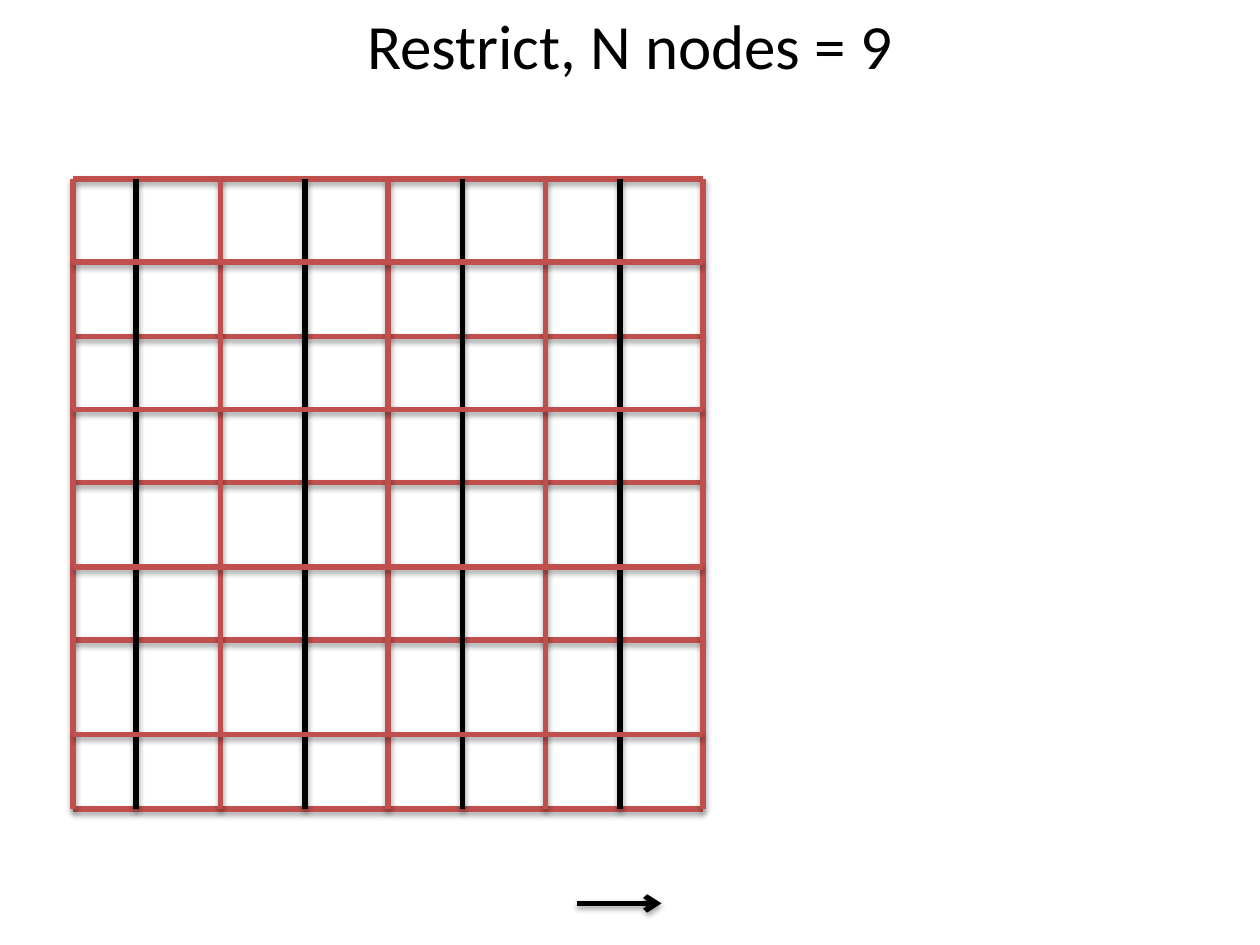
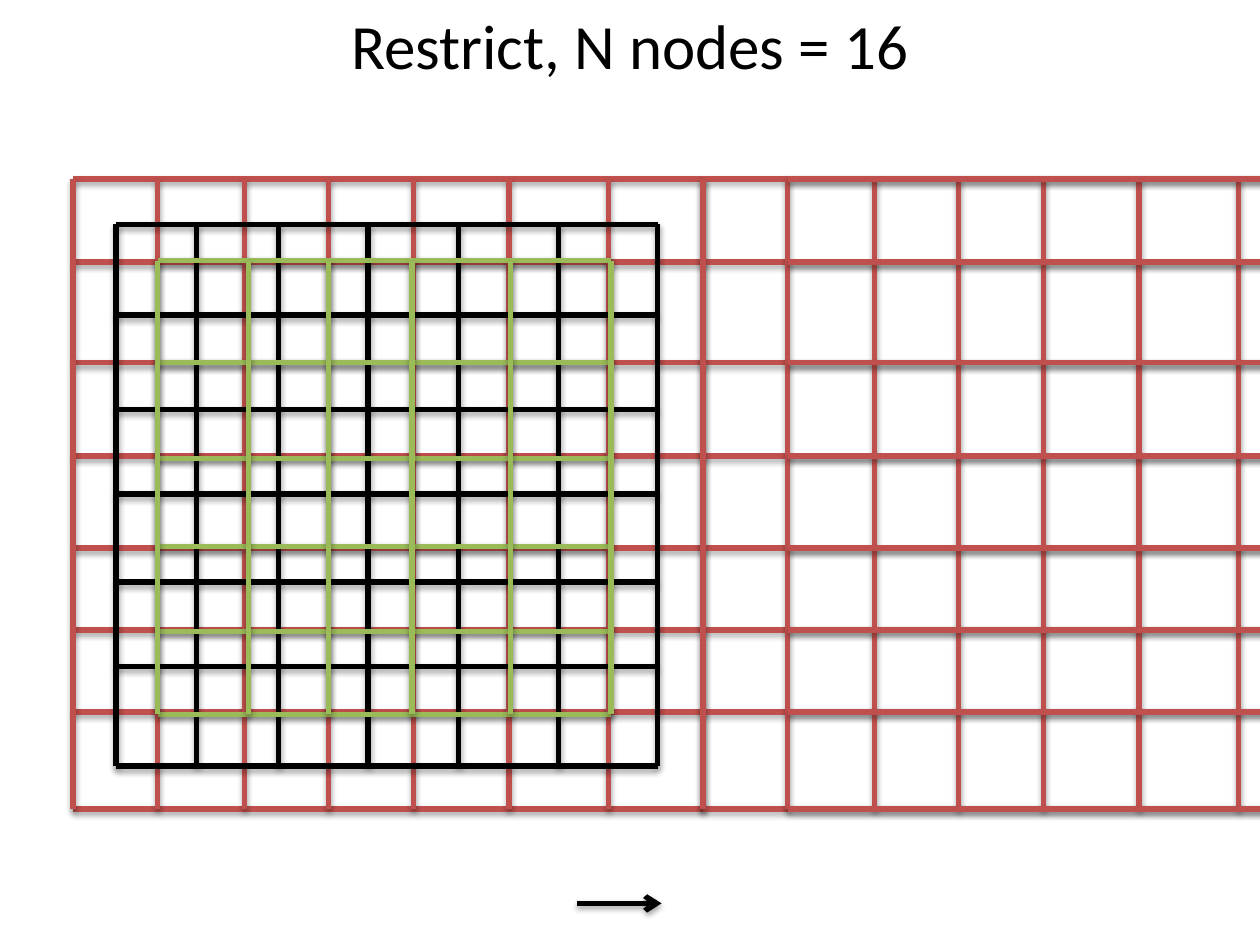
from lxml import etree
from pptx import Presentation
from pptx.dml.color import RGBColor
from pptx.enum.shapes import MSO_CONNECTOR
from pptx.enum.text import MSO_ANCHOR, MSO_AUTO_SIZE, PP_ALIGN
from pptx.oxml import parse_xml
from pptx.oxml.ns import nsdecls, qn
from pptx.util import Inches, Pt

BLACK = RGBColor(0x00, 0x00, 0x00)
RED = RGBColor(0xC0, 0x50, 0x4D)
GREEN = RGBColor(0x9B, 0xBB, 0x59)
FONT = "Calibri"
SHADOW = (
    f'<a:effectLst {nsdecls("a")}>'
    '<a:outerShdw blurRad="40000" dist="23000" dir="5400000" rotWithShape="0">'
    '<a:srgbClr val="000000"><a:alpha val="35000"/></a:srgbClr>'
    '</a:outerShdw></a:effectLst>'
)

# Outer mesh: left and top edge, side length, and the next mesh to its right
LEFT, TOP, SIDE = 0.58, 1.42, 5
RIGHT, BOTTOM = LEFT + SIDE, TOP + SIDE

# Cell edges of the 7 x 7 mesh, measured from its corner
COARSE_COLS = [0, 0.67, 1.36, 2.03, 2.7, 3.46, 4.25]
COARSE_ROWS = [TOP, 2.08, 2.88, 3.62, 4.35, 5, 5.65, BOTTOM]


def add_line(shapes, start, end, color):
    """Add a 3 pt shadowed line between two points in inches."""
    line = shapes.add_connector(
        MSO_CONNECTOR.STRAIGHT, *(Inches(v) for v in (*start, *end)))
    line.line.color.rgb = color
    line.line.width = Pt(3)
    line._element.spPr.append(parse_xml(SHADOW))
    return line


def add_mesh(slide, left, top, side, layers):
    """Group the lines of a square mesh; layers are (color, columns, rows)."""
    shapes = slide.shapes.add_group_shape().shapes
    for color, columns, rows in layers:
        for y in rows:
            add_line(shapes, (left, y), (left + side, y), color)
        for x in columns:
            add_line(shapes, (x, top), (x, top + side), color)


# Each mesh: left, top, side, layers from back to front
nine_nodes = [
    (LEFT, TOP, SIDE, [
        (RED, [LEFT, 1.75, 3.08, 4.33, RIGHT], [TOP, 2.67, 3.83, 5.08, BOTTOM]),
        (BLACK, [1.08, 2.42, 3.67, 4.92], []),
        (RED, [], [2.08, 3.25, 4.5, 5.83]),
    ]),
]
sixteen_nodes = [
    (LEFT, TOP, SIDE, [
        (RED, [LEFT + x for x in COARSE_COLS] + [RIGHT], COARSE_ROWS)]),
    (0.92, 1.78, 4.3, [
        (BLACK, [0.92, 1.56, 2.21, 2.92, 3.64, 4.43, 5.22],
         [1.78, 2.5, 3.25, 3.92, 4.62, 5.29, 6.08])]),
    (1.25, 2.07, 3.6, [
        (GREEN, [1.25, 1.97, 2.61, 3.27, 4.05, 4.85],
         [2.07, 2.88, 3.64, 4.34, 5.01, 5.67])]),
    (RIGHT, TOP, SIDE, [
        (RED, [RIGHT + x for x in COARSE_COLS], COARSE_ROWS)]),
    (RIGHT + COARSE_COLS[1], TOP, SIDE, [(RED, [], COARSE_ROWS)]),
]

prs = Presentation()
prs.slide_width, prs.slide_height = Inches(10), Inches(7.5)

for node_count, meshes in [(9, nine_nodes), (16, sixteen_nodes)]:
    slide = prs.slides.add_slide(prs.slide_layouts[5])

    title = slide.shapes.title
    title.left, title.top = 0, 0
    title.width, title.height = prs.slide_width, Inches(0.71)
    frame = title.text_frame
    frame.text = f"Restrict, N nodes = {node_count}"
    frame.word_wrap = True
    frame.auto_size = MSO_AUTO_SIZE.SHAPE_TO_FIT_TEXT
    frame.vertical_anchor = MSO_ANCHOR.TOP
    paragraph = frame.paragraphs[0]
    paragraph.alignment = PP_ALIGN.CENTER
    font = paragraph.runs[0].font
    font.name, font.size, font.color.rgb = FONT, Pt(36), BLACK

    arrow = add_line(slide.shapes, (4.58, 7.17), (5.25, 7.17), BLACK)
    etree.SubElement(arrow.line._get_or_add_ln(), qn("a:tailEnd"), type="arrow")

    for mesh in meshes:
        add_mesh(slide, *mesh)

prs.save("out.pptx")
